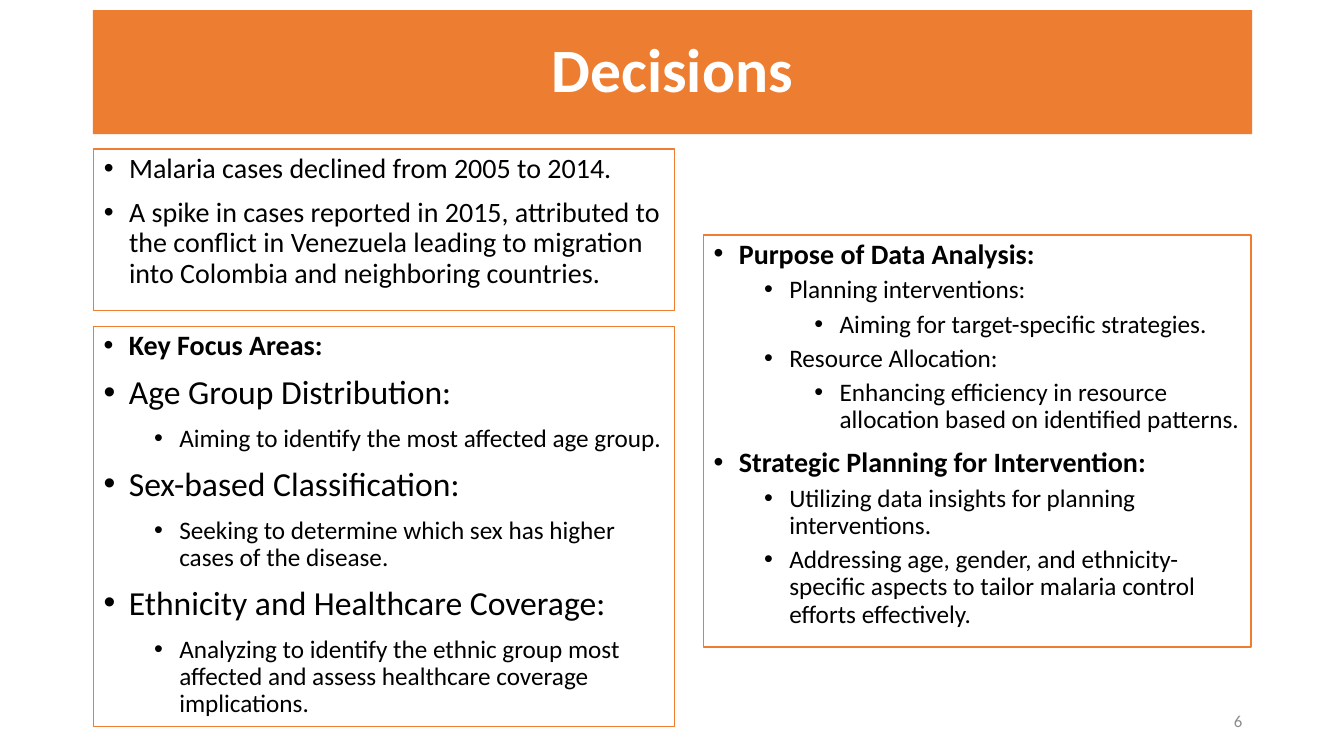
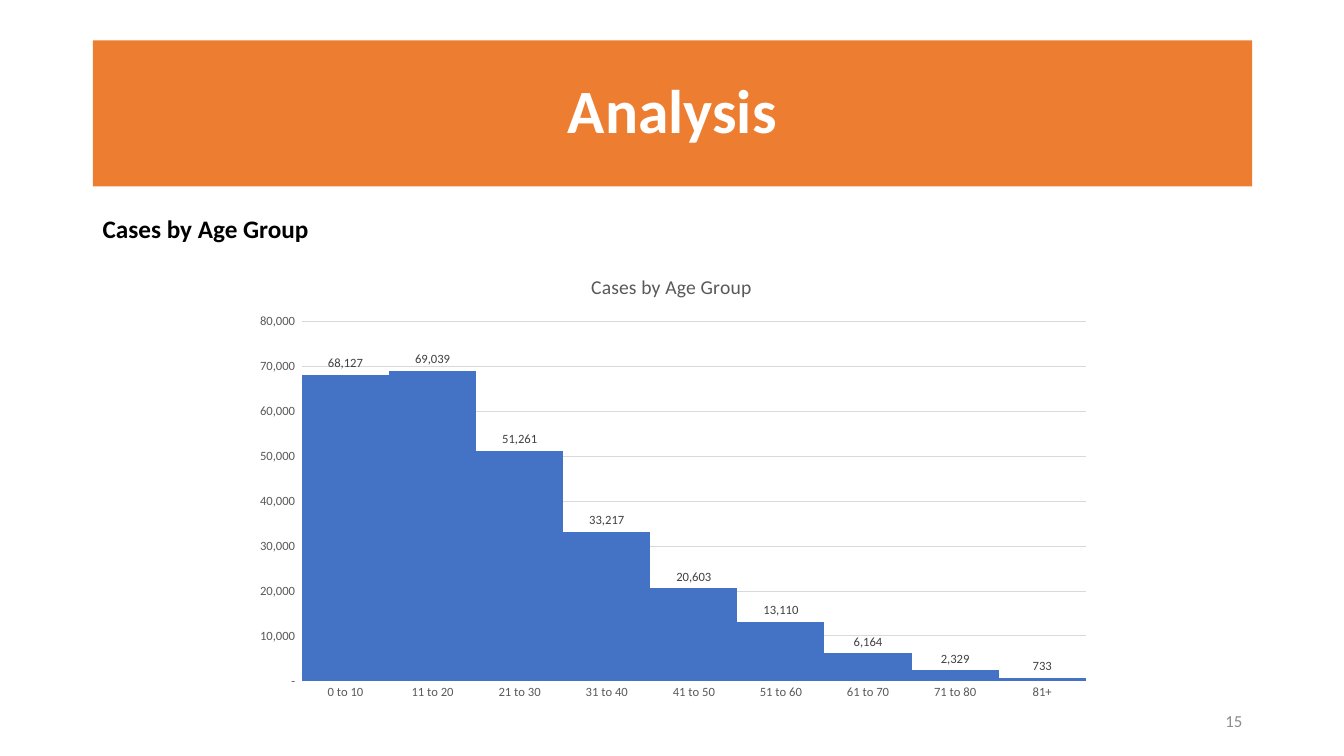
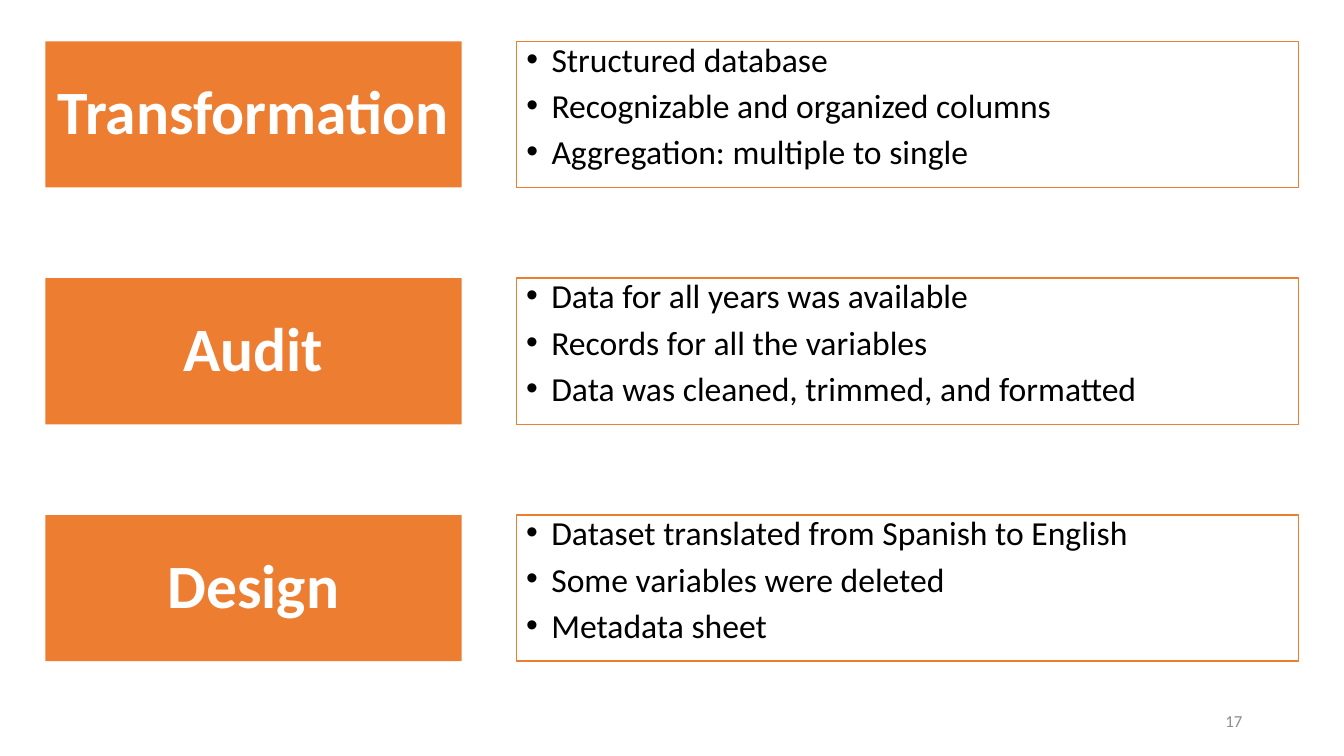
from dataclasses import dataclass
from typing import Any

from lxml import etree
from pptx import Presentation
from pptx import util as u
from pptx.chart import data as chart_data
from pptx.dml import color
from pptx.enum import chart as chart_enum
from pptx.enum import shapes, text
from pptx.oxml import ns


@dataclass(frozen=True)
class Theme:
    font: str = "Calibri"
    accent: str = "ED7D31"
    white: str = "FFFFFF"
    black: str = "000000"
    column: str = "4472C4"
    axis_text: str = "595959"
    label_text: str = "404040"
    grid: str = "D9D9D9"
    page_text: str = "8C8C8C"
    title: int = 44
    large: int = 24
    medium: int = 20
    small: int = 18
    chart_title: int = 14
    page: int = 12
    chart_text: int = 9


@dataclass(frozen=True)
class Box:
    left: float
    top: float
    width: float
    height: float

    def lengths(self) -> tuple[u.Length, ...]:
        return tuple(u.Inches(v) for v in (self.left, self.top, self.width, self.height))


@dataclass(frozen=True)
class Bullet:
    words: str
    size: int
    depth: int = 0
    bold: bool = False
    before: int = 10


@dataclass(frozen=True)
class Stage:
    name: str
    points: tuple[str, ...]


THEME = Theme()
TITLE_AND_CONTENT, TITLE_ONLY = 1, 5
COUNT_FORMAT = '_(* #,##0_);_(* \\(#,##0\\);_(* "-"_);_(@_)'

FINDINGS = (
    Bullet("Malaria cases declined from 2005 to 2014.", THEME.medium),
    Bullet("A spike in cases reported in 2015, attributed to the conflict in Venezuela "
           "leading to migration into Colombia and neighboring countries.", THEME.medium),
)
FOCUS_AREAS = (
    Bullet("Key Focus Areas:", THEME.medium, bold=True),
    Bullet("Age Group Distribution:", THEME.large),
    Bullet("Aiming to identify the most affected age group.", THEME.small, 1),
    Bullet("Sex-based Classification:", THEME.large),
    Bullet("Seeking to determine which sex has higher cases of the disease.", THEME.small, 1),
    Bullet("Ethnicity and Healthcare Coverage:", THEME.large),
    Bullet("Analyzing to identify the ethnic group most affected and assess healthcare "
           "coverage implications.", THEME.small, 1),
)
PURPOSES = (
    Bullet("Purpose of Data Analysis:", THEME.medium, bold=True),
    Bullet("Planning interventions:", THEME.small, 1, before=5),
    Bullet("Aiming for target-specific strategies.", THEME.small, 2, before=5),
    Bullet("Resource Allocation:", THEME.small, 1, before=5),
    Bullet("Enhancing efficiency in resource allocation based on identified patterns.",
           THEME.small, 2, before=5),
    Bullet("Strategic Planning for Intervention:", THEME.medium, bold=True),
    Bullet("Utilizing data insights for planning interventions.", THEME.small, 1, before=5),
    Bullet("Addressing age, gender, and ethnicity-specific aspects to tailor malaria control "
           "efforts effectively.", THEME.small, 1, before=5),
)
CASES = {
    "0 to 10": 68127, "11 to 20": 69039, "21 to 30": 51261,
    "31 to 40": 33217, "41 to 50": 20603, "51 to 60": 13110,
    "61 to 70": 6164, "71 to 80": 2329, "81+": 733,
}
STAGES = (
    Stage("Transformation", ("Structured database", "Recognizable and organized columns",
                             "Aggregation: multiple to single")),
    Stage("Audit", ("Data for all years was available", "Records for all the variables",
                    "Data was cleaned, trimmed, and formatted")),
    Stage("Design", ("Dataset translated from Spanish to English",
                     "Some variables were deleted", "Metadata sheet")),
)


def rgb(value: str) -> color.RGBColor:
    return color.RGBColor.from_string(value)


def set_font(font: Any, size: int, ink: str, bold: bool = False) -> None:
    font.name = THEME.font
    font.size = u.Pt(size)
    font.bold = bold
    font.color.rgb = rgb(ink)


def add_panel(slide: Any, box: Box, fill: str, placeholder: Any = None) -> Any:
    shape = placeholder
    if shape is None:
        shape = slide.shapes.add_shape(shapes.MSO_SHAPE.RECTANGLE, *box.lengths())
    shape.left, shape.top, shape.width, shape.height = box.lengths()
    shape.shadow.inherit = False
    shape.fill.solid()
    shape.fill.fore_color.rgb = rgb(fill)
    shape.text_frame.word_wrap = True
    shape.text_frame.auto_size = text.MSO_AUTO_SIZE.NONE
    return shape


def add_band(slide: Any, box: Box, words: str, placeholder: Any = None) -> None:
    shape = add_panel(slide, box, THEME.accent, placeholder)
    shape.line.fill.background()
    frame = shape.text_frame
    frame.vertical_anchor = text.MSO_ANCHOR.MIDDLE
    paragraph = frame.paragraphs[0]
    paragraph.text = words
    paragraph.alignment = text.PP_ALIGN.CENTER
    paragraph.line_spacing = 0.9
    set_font(paragraph.font, THEME.title, THEME.white, True)


def add_bullets(slide: Any, box: Box, bullets: tuple[Bullet, ...],
                placeholder: Any = None, spacing: float = 0.9) -> None:
    shape = add_panel(slide, box, THEME.white, placeholder)
    shape.line.color.rgb = rgb(THEME.accent)
    shape.line.width = u.Pt(1)
    frame = shape.text_frame
    frame.vertical_anchor = text.MSO_ANCHOR.TOP
    for index, bullet in enumerate(bullets):
        paragraph = frame.add_paragraph() if index else frame.paragraphs[0]
        paragraph.text = bullet.words
        paragraph.level = bullet.depth
        paragraph.alignment = text.PP_ALIGN.LEFT
        properties = paragraph._p.get_or_add_pPr()
        properties.set("marL", str(u.Inches(0.25 + 0.5 * bullet.depth)))
        properties.set("indent", str(u.Inches(-0.25)))
        etree.SubElement(properties, ns.qn("a:buFont")).set("typeface", "Arial")
        etree.SubElement(properties, ns.qn("a:buChar")).set("char", "•")
        paragraph.line_spacing = spacing
        paragraph.space_before = u.Pt(bullet.before if index else 0)
        set_font(paragraph.font, bullet.size, THEME.black, bullet.bold)


def add_text(slide: Any, box: Box, words: str) -> Any:
    frame = slide.shapes.add_textbox(*box.lengths()).text_frame
    frame.word_wrap = True
    frame.paragraphs[0].text = words
    return frame


def add_page_number(slide: Any, number: int) -> None:
    frame = add_text(slide, Box(9.42, 6.95, 3, 0.4), str(number))
    frame.vertical_anchor = text.MSO_ANCHOR.MIDDLE
    paragraph = frame.paragraphs[0]
    paragraph.alignment = text.PP_ALIGN.RIGHT
    set_font(paragraph.font, THEME.page, THEME.page_text)


def add_cases_chart(slide: Any, box: Box) -> None:
    data = chart_data.CategoryChartData(number_format=COUNT_FORMAT)
    data.categories = list(CASES)
    data.add_series("Series 1", list(CASES.values()))
    chart = slide.shapes.add_chart(
        chart_enum.XL_CHART_TYPE.COLUMN_CLUSTERED, *box.lengths(), data).chart
    set_font(chart.font, 10, THEME.black)
    chart.has_legend = False
    chart.has_title = True
    title = chart.chart_title.text_frame.paragraphs[0]
    title.text = "Cases by Age Group"
    set_font(title.font, THEME.chart_title, THEME.axis_text)
    chart.chart_title.include_in_layout = False

    for axis in (chart.category_axis, chart.value_axis):
        axis.major_tick_mark = chart_enum.XL_TICK_MARK.NONE
        axis.minor_tick_mark = chart_enum.XL_TICK_MARK.NONE
        set_font(axis.tick_labels.font, THEME.chart_text, THEME.axis_text)
    values = chart.value_axis
    values.minimum_scale, values.maximum_scale, values.major_unit = 0, 80000, 10000
    values.tick_labels.number_format = COUNT_FORMAT
    values.tick_labels.number_format_is_linked = False
    values.format.line.fill.background()
    for line in (chart.category_axis.format.line, values.major_gridlines.format.line):
        line.color.rgb = rgb(THEME.grid)
        line.width = u.Pt(0.75)

    plot = chart.plots[0]
    plot.gap_width = 0
    plot.overlap = -27
    plot.vary_by_categories = False
    series = plot.series[0]
    series.format.fill.solid()
    series.format.fill.fore_color.rgb = rgb(THEME.column)
    labels = series.data_labels
    labels.show_value = True
    labels.position = chart_enum.XL_LABEL_POSITION.OUTSIDE_END
    labels.number_format = COUNT_FORMAT
    labels.number_format_is_linked = False
    set_font(labels.font, THEME.chart_text, THEME.label_text)


def add_slide(presentation: Any, layout: int, number: int) -> Any:
    slide = presentation.slides.add_slide(presentation.slide_layouts[layout])
    add_page_number(slide, number)
    return slide


def build_decisions(presentation: Any) -> None:
    slide = add_slide(presentation, TITLE_AND_CONTENT, 6)
    add_band(slide, Box(0.92, 0.1, 11.5, 1.23), "Decisions", slide.shapes.title)
    add_bullets(slide, Box(0.93, 1.48, 5.76, 1.6), FINDINGS, slide.placeholders[1])
    add_bullets(slide, Box(0.93, 3.24, 5.76, 3.97), FOCUS_AREAS)
    add_bullets(slide, Box(6.98, 2.33, 5.43, 4.09), PURPOSES)


def build_analysis(presentation: Any) -> None:
    slide = add_slide(presentation, TITLE_ONLY, 15)
    add_band(slide, Box(0.92, 0.4, 11.5, 1.45), "Analysis", slide.shapes.title)
    heading = add_text(slide, Box(0.92, 2.04, 3.47, 0.49), "Cases by Age Group").paragraphs[0]
    heading.line_spacing = 1.1
    set_font(heading.font, THEME.small, THEME.black, True)
    add_cases_chart(slide, Box(2.38, 2.53, 8.56, 4.5))


def build_stages(presentation: Any) -> None:
    slide = add_slide(presentation, TITLE_AND_CONTENT, 17)
    placeholders = [(slide.shapes.title, slide.placeholders[1])]
    placeholders += [(None, None)] * (len(STAGES) - 1)
    for row, (stage, (title, body)) in enumerate(zip(STAGES, placeholders)):
        top = 0.41 + 2.35 * row
        bullets = tuple(Bullet(point, THEME.large) for point in stage.points)
        add_band(slide, Box(0.45, top, 4.13, 1.45), stage.name, title)
        add_bullets(slide, Box(5.12, top, 7.76, 1.45), bullets, body, spacing=0.8)


def main() -> None:
    presentation = Presentation()
    presentation.slide_width = u.Inches(13.33)
    presentation.slide_height = u.Inches(7.5)
    build_decisions(presentation)
    build_analysis(presentation)
    build_stages(presentation)
    presentation.save("out.pptx")


if __name__ == "__main__":
    main()
